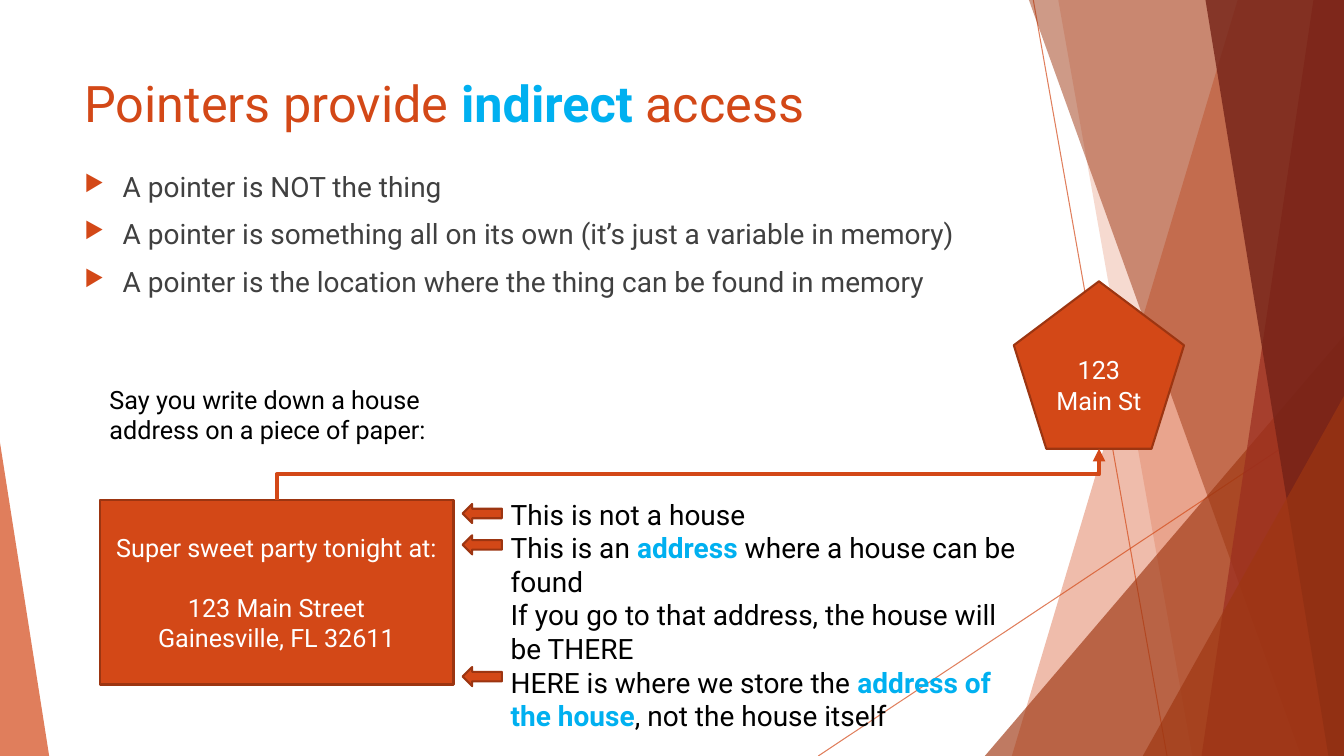
from lxml.etree import SubElement
from pptx import Presentation
from pptx.dml.color import RGBColor as RGB
from pptx.enum.shapes import MSO_CONNECTOR as Link, MSO_SHAPE as Form
from pptx.enum.text import MSO_ANCHOR as Anchor, PP_ALIGN as Align
from pptx.oxml.ns import qn
from pptx.util import Cm, Pt

TITLE = "Pointers provide *indirect* access"
POINTS = [
    "A pointer is NOT the thing",
    "A pointer is something all on its own (it’s just a variable in memory)",
    "A pointer is the location where the thing can be found in memory",
]
LEAD = "Say you write down a house address on a piece of paper:"
PARTY = ["Super sweet party tonight at:", "123 Main Street", "Gainesville, FL 32611"]
HOUSE = "123 Main St"
NOTES = [
    "This is not a house",
    "This is an *address* where a house can be found",
    "If you go to that address, the house will be THERE",
    "HERE is where we store the *address of the house*, not the house itself",
]
THEME = {
    "font": "Roboto", "main": "D34817", "edge": "9C3511", "dark": "9E3611",
    "red": "9B2D1F", "deep": "742217", "key": "00B0F0", "body": "404040",
    "ink": "000000", "pale": "FFFFFF",
    "title": 36, "large": 20, "small": 18,
}
WIDE, HIGH = 33.87, 19.05
RAYS = [((26.04, 0), (29.41, HIGH)), ((WIDE, 10.24), (20.62, HIGH))]
BANDS = [
    ("slab", 31.19, 25.5, "main", 36),
    ("slab", 26.67, 30.05, "main", 20),
    ("wedge", 24.82, 8.46, "dark", 66),
    ("slab", 25.93, 32.79, "dark", 50),
    ("slab", 33.1, 30.28, "red", 70),
    ("slab", 30.38, 33.48, "deep", 80),
    ("wedge", 28.8, 9.98, "dark", 66),
]
CARD = (2.51, 12.6, 8.92, 4.65)
HOME = (25.55, 7.09, 4.29, 4.22)
ARROWS = [12.7, 13.49, 16.81]


def hue(name):
    return RGB.from_string(THEME[name])


def fade(node, rate):
    tone = next(node.iter(qn("a:srgbClr")))
    SubElement(tone, qn("a:alpha"), val=str(rate * 1000))


def paint(shape, tone, rate=100, edge=None):
    shape.shadow.inherit = False
    shape.fill.solid()
    shape.fill.fore_color.rgb = hue(tone)
    if rate < 100:
        fade(shape.fill._xPr, rate)
    if edge:
        shape.line.color.rgb = hue(edge)
        shape.line.width = Pt(1.5)
    else:
        shape.line.fill.background()
    return shape


def draw(form, box):
    return slide.shapes.add_shape(form, *map(Cm, box))


def wedge(left, top, wide, apex, tone, rate):
    shape = draw(Form.ISOSCELES_TRIANGLE, (left, top, wide, HIGH - top))
    shape.adjustments[0] = apex
    paint(shape, tone, rate)


def slab(top, foot, tone, rate):
    dots = [(Cm(x), Cm(y)) for x, y in
            [(top, 0), (WIDE, 0), (WIDE, HIGH), (foot, HIGH)]]
    build = slide.shapes.build_freeform(*dots[0])
    build.add_line_segments(dots[1:], close=True)
    paint(build.convert_to_shape(), tone, rate)


def wire(kind, start, end, width):
    line = slide.shapes.add_connector(kind, *map(Cm, start + end))
    line.line.color.rgb = hue("main")
    line.line.width = Pt(width)
    SubElement(line._element.spPr, qn("a:effectLst"))
    return line


def write(shape, lines, size, tone, align=Align.LEFT):
    frame = shape.text_frame
    frame.word_wrap = True
    for i, line in enumerate(lines):
        para = frame.add_paragraph() if i else frame.paragraphs[0]
        para.alignment = align
        for j, part in enumerate(line.split("*")):
            if not part:
                continue
            run = para.add_run()
            run.text = part
            font = run.font
            font.name, font.size = THEME["font"], Pt(THEME[size])
            font.bold = j % 2 == 1
            font.color.rgb = hue("key" if font.bold else tone)
    return frame


def label(box, lines, size, tone):
    return write(slide.shapes.add_textbox(*map(Cm, box)), lines, size, tone)


def block(form, box, lines):
    shape = paint(draw(form, box), "main", edge="edge")
    frame = write(shape, lines, "small", "pale", Align.CENTER)
    frame.vertical_anchor = Anchor.MIDDLE
    return frame


def bullet(para):
    props = para._p.get_or_add_pPr()
    props.set("marL", str(Cm(0.96)))
    props.set("indent", str(-Cm(0.96)))
    tint = SubElement(props, qn("a:buClr"))
    SubElement(tint, qn("a:srgbClr"), val=THEME["main"])
    SubElement(props, qn("a:buSzPct"), val="80000")
    SubElement(props, qn("a:buChar"), char="▶")


def route(card, home):
    x1, y1 = card[0] + card[2] / 2, card[1]
    x2, y2 = home[0] + home[2] / 2, home[1] + home[3]
    mid, level = (x1 + x2) / 2, (y1 + y2) / 2
    half, reach = (y1 - y2) / 2, (x2 - x1) / 2
    line = wire(Link.ELBOW, (mid + half, level + reach),
                (mid - half, level - reach), 3)
    line._element.spPr.find(qn("a:xfrm")).set("rot", str(90 * 60000))
    SubElement(line.line._get_or_add_ln(), qn("a:tailEnd"), type="triangle")


deck = Presentation()
deck.slide_width, deck.slide_height = Cm(WIDE), Cm(HIGH)
slide = deck.slides.add_slide(deck.slide_layouts[6])

for start, end in RAYS:
    fade(wire(Link.STRAIGHT, start, end, 0.75)._element.spPr, 70)
for kind, one, two, tone, rate in BANDS:
    if kind == "slab":
        slab(one, two, tone, rate)
    else:
        wedge(one, two, WIDE - one, 1, tone, rate)
wedge(0, 11.15, 1.24, 0, "main", 70)

label((1.88, 1.7, 23.88, 2), [TITLE], "title", "main")
body = label((1.88, 4.14, 23.88, 3.78), POINTS, "large", "body")
for i, para in enumerate(body.paragraphs):
    bullet(para)
    if i:
        para.space_before = Pt(10)
label((2.51, 9.55, 10.74, 1.8), [LEAD], "small", "ink")
party = block(Form.RECTANGLE, CARD, PARTY)
party.paragraphs[1].space_before = Pt(21)
label((12.62, 12.4, 13.39, 6.4), NOTES, "large", "ink")
block(Form.REGULAR_PENTAGON, HOME, [HOUSE])
route(CARD, HOME)
for top in ARROWS:
    paint(draw(Form.LEFT_ARROW, (11.66, top, 0.99, 0.48)), "main", edge="edge")

deck.save("out.pptx")
